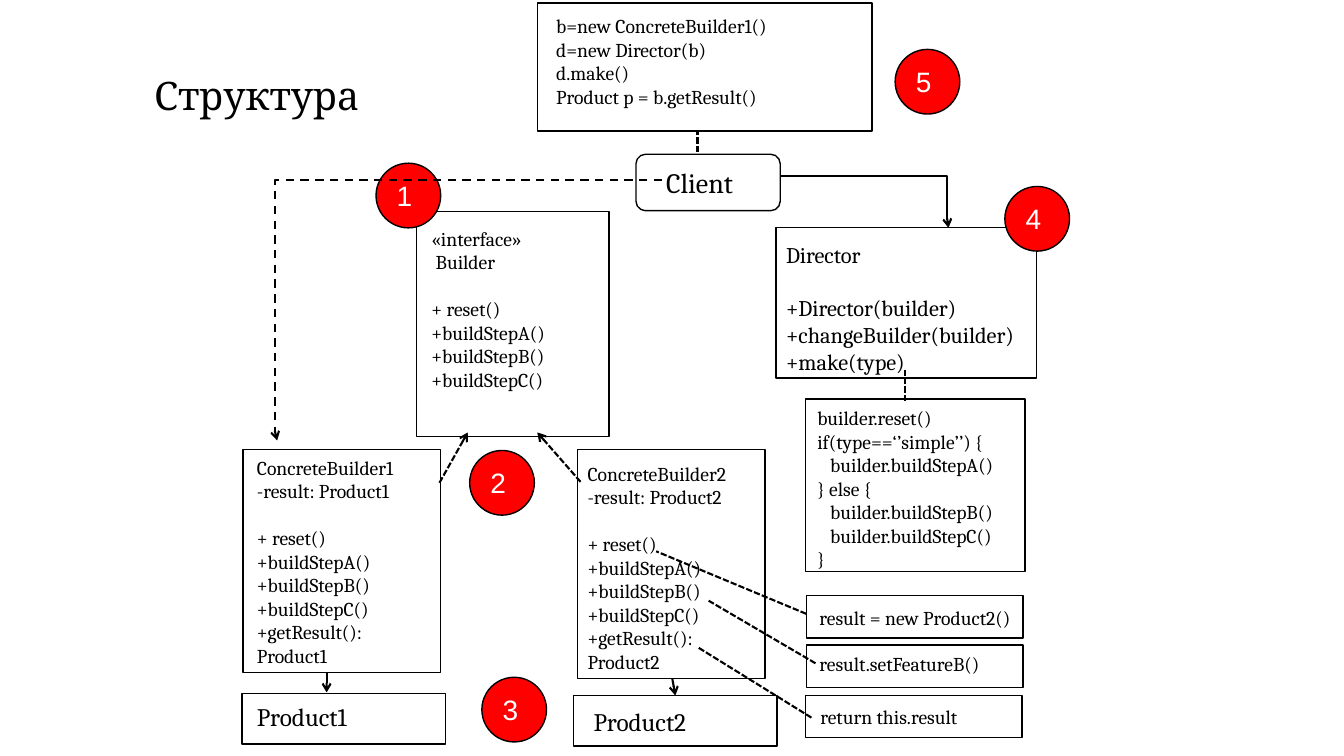
"""Build the slide with the structure diagram of the Builder pattern."""
from lxml import etree
from pptx import Presentation
from pptx.dml.color import RGBColor
from pptx.enum.dml import MSO_LINE
from pptx.enum.shapes import MSO_CONNECTOR, MSO_SHAPE
from pptx.enum.text import MSO_ANCHOR, PP_ALIGN
from pptx.oxml.ns import qn
from pptx.util import Pt

RECT, ROUNDED, OVAL = MSO_SHAPE.RECTANGLE, MSO_SHAPE.FLOWCHART_ALTERNATE_PROCESS, MSO_SHAPE.OVAL
STRAIGHT, ELBOW = MSO_CONNECTOR.STRAIGHT, MSO_CONNECTOR.ELBOW
DASH, SYS_DASH = MSO_LINE.DASH, MSO_LINE.SQUARE_DOT
BLACK = RGBColor(0, 0, 0)
WHITE = RGBColor(255, 255, 255)
RED = RGBColor(255, 0, 0)
LINE_HEIGHT = 1.2
SPACE_WIDTH = 0.22
DIAMETER = 46.2

prs = Presentation()
prs.slide_width, prs.slide_height = Pt(960), Pt(540)
s = prs.slides.add_slide(prs.slide_layouts[5])


def add_box(kind, bounds, fill):
    sp = s.shapes.add_shape(kind, *map(Pt, bounds))
    sp.shadow.inherit = False
    sp.fill.solid()
    sp.fill.fore_color.rgb = fill
    sp.line.color.rgb = BLACK
    sp.line.width = Pt(1)


def write(sp, text, size, name="Cambria", color=BLACK):
    tf = sp.text_frame
    tf.word_wrap = True
    blocks = text.split("\n\n")
    for b, block in enumerate(blocks):
        for i, line in enumerate(block.split("\n")):
            p = tf.paragraphs[0] if b == i == 0 else tf.add_paragraph()
            p.alignment = PP_ALIGN.LEFT
            if b and i == 0:
                p.space_before = Pt(size * LINE_HEIGHT)
            words = line.lstrip()
            indent = (len(line) - len(words)) * size * SPACE_WIDTH
            if indent:
                p._p.get_or_add_pPr().set("marL", str(Pt(indent)))
            r = p.add_run()
            r.text = words
            for key, value in {"size": Pt(size), "name": name}.items():
                setattr(r.font, key, value)
            r.font.color.rgb = color


title = s.shapes.title
bounds = {"left": 110, "top": 19, "width": 230.4, "height": 98}
for key, value in bounds.items():
    setattr(title, key, Pt(value))
tf = title.text_frame
for side in ("left", "top", "right", "bottom"):
    setattr(tf, f"margin_{side}", 0)
tf.vertical_anchor = MSO_ANCHOR.MIDDLE
write(title, "Структура", 28)

STEPS = "+ reset()\n+buildStepA()\n+buildStepB()\n+buildStepC()"
CONCRETE = "ConcreteBuilder{0}\n-result: Product{0}\n\n" + STEPS + "\n+getResult():\nProduct{0}"
MAKE = """builder.reset()
if(type==‘’simple’’) {
   builder.buildStepA()
} else {
   builder.buildStepB()
   builder.buildStepC()
}"""
START = "b=new ConcreteBuilder1()\nd=new Director(b)\nd.make()\nProduct p = b.getResult()"
DIRECTOR = "Director\n\n+Director(builder)\n+changeBuilder(builder)\n+make(type)"

boxes = [
    (ROUNDED, (454.3, 110.2, 103, 40.3), (468.7, 114.5, 74.2, 31), "Client", 20),
    (RECT, (297.4, 151.2, 137.5, 160.6), (301, 158.4, 147.6, 124.6),
     "«interface»\n Builder\n\n" + STEPS, 14),
    (RECT, (554.4, 162.7, 185.8, 107.3), (554.4, 168.5, 196.6, 103), DIRECTOR, 16),
    (RECT, (173.5, 321.1, 141.1, 159.1), (176.4, 321.8, 139.7, 158.4), CONCRETE.format(1), 14),
    (RECT, (412.6, 321.1, 133.9, 163.4), (412.6, 326.2, 139, 170.6), CONCRETE.format(2), 14),
    (RECT, (575.3, 285.1, 157, 123.1), (576.7, 286.6, 155.5, 124.6), MAKE, 14),
    (RECT, (576, 425.5, 154.8, 30.2), (578.2, 429.1, 159.1, 23.8), "result = new Product2()", 14),
    (RECT, (576, 460.8, 154.8, 30.2), (578.2, 462.2, 151.2, 23.8), "result.setFeatureB()", 14),
    (RECT, (575.3, 496.8, 154.8, 30.2), (578.9, 499.7, 150.5, 23.8), "return this.result", 14),
    (RECT, (172.8, 495.4, 145.4, 36), (176.4, 497.5, 139, 28.8), "Product1", 18),
    (RECT, (409.7, 496.8, 145.4, 36), (416.9, 501.1, 134.6, 28.8), "Product2", 18),
    (RECT, (383.8, 2.2, 239, 91.4), (390.2, 6.5, 231.1, 74.2), START, 14),
]
for kind, bounds, text_bounds, text, size in boxes:
    add_box(kind, bounds, WHITE)
    write(s.shapes.add_textbox(*map(Pt, text_bounds)), text, size)

circles = [(268.6, 116.6), (335.5, 321.8), (344.2, 483.8), (717.8, 133.2), (639.4, 35.3)]
for number, (x, y) in enumerate(circles, 1):
    add_box(OVAL, (x, y, DIAMETER, DIAMETER), RED)
    sp = s.shapes.add_textbox(Pt(x + 7.7), Pt(y + 7.5), Pt(31), Pt(31))
    write(sp, str(number), 20, "Arial", WHITE)

links = [
    (ELBOW, (558, 126, 677.5, 162.7), None, True, 99300),
    (ELBOW, (473, 128.9, 198, 314.6), DASH, True, 100500),
    (STRAIGHT, (414.7, 344.2, 383.8, 308.9), SYS_DASH, True, None),
    (STRAIGHT, (313.9, 344.9, 334.1, 308.9), SYS_DASH, True, None),
    (STRAIGHT, (480.2, 484.6, 482.4, 496.8), None, True, None),
    (STRAIGHT, (233.3, 480.2, 233.3, 494.6), None, True, None),
    (STRAIGHT, (576, 438.5, 468.7, 393.8), SYS_DASH, False, None),
    (STRAIGHT, (582.5, 473.8, 506.2, 429.1), SYS_DASH, False, None),
    (STRAIGHT, (579.6, 512.6, 498.2, 462.2), SYS_DASH, False, None),
    (STRAIGHT, (646.6, 286.6, 646.6, 262.8), SYS_DASH, False, None),
    (STRAIGHT, (498.2, 108.7, 498.2, 93.6), SYS_DASH, False, None),
]
for kind, ends, dash, arrow, bend in links:
    sp = s.shapes.add_connector(kind, *map(Pt, ends))
    sp.line.color.rgb = BLACK
    sp.line.width = Pt(1.5)
    if dash:
        sp.line.dash_style = dash
    spPr = sp._element.spPr
    if arrow:
        etree.SubElement(spPr.find(qn("a:ln")), qn("a:tailEnd"), type="arrow")
    if bend:
        guides = spPr.find(qn("a:prstGeom")).find(qn("a:avLst"))
        etree.SubElement(guides, qn("a:gd"), name="adj1", fmla=f"val {bend}")
    etree.SubElement(spPr, qn("a:effectLst"))

prs.save("out.pptx")
